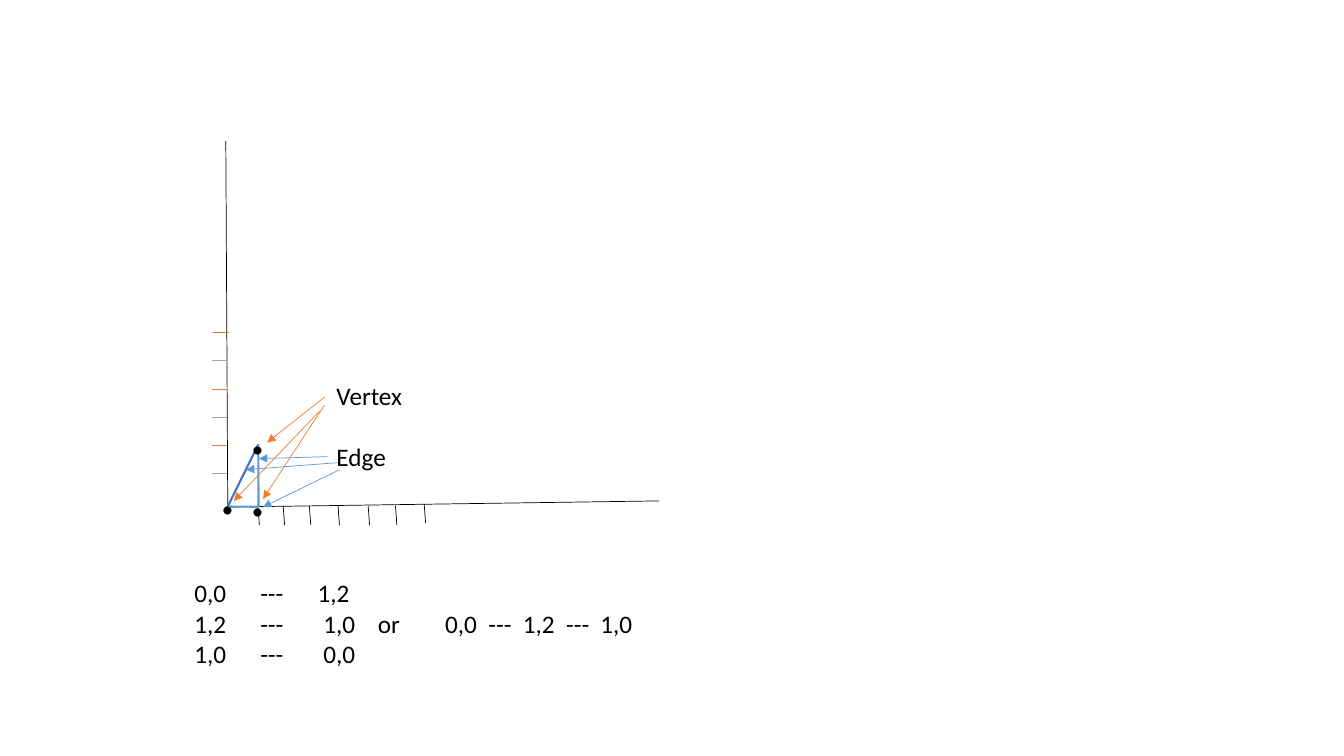
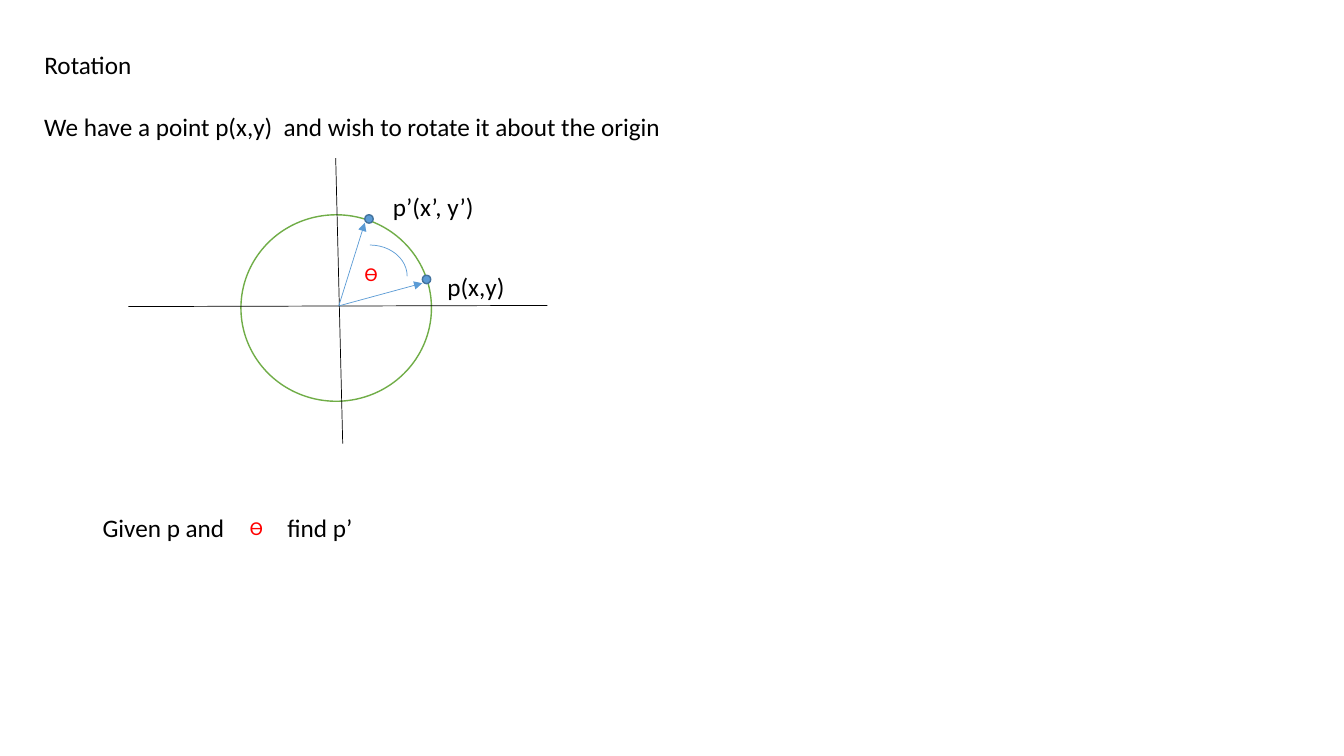
import pptx
import pptx.dml.color
import pptx.enum.shapes
import pptx.enum.text
import pptx.oxml.ns
import pptx.util
from lxml import etree

Pt = pptx.util.Pt
hex_color = pptx.dml.color.RGBColor.from_string
qn = pptx.oxml.ns.qn
Shape = pptx.enum.shapes.MSO_SHAPE

FONT = "Calibri"
BLACK = "000000"
WHITE = "FFFFFF"
RED = "FF0000"
ORANGE = "ED7D31"
GRAY = "A5A5A5"
BLUE = "5B9BD5"
DARK_BLUE = "4472C4"
POINT_OUTLINE = "43739E"
GREEN = "70AD47"


def add_line(slide, start, end, color=BLACK, width=0.5, arrow=False):
    line = slide.shapes.add_connector(
        pptx.enum.shapes.MSO_CONNECTOR.STRAIGHT,
        Pt(start[0]), Pt(start[1]), Pt(end[0]), Pt(end[1]))
    line.line.color.rgb = hex_color(color)
    line.line.width = Pt(width)
    if arrow:
        etree.SubElement(line.line._get_or_add_ln(), qn("a:tailEnd"), type="triangle")
    etree.SubElement(line._element.spPr, qn("a:effectLst"))


def write_text(shape, box, text, size=18, color=BLACK, wrap=False, tabs=()):
    """Place a shape and fill it; tabs holds the tab stops of each paragraph."""
    shape.left, shape.top, shape.width, shape.height = [Pt(value) for value in box]
    frame = shape.text_frame
    frame.text = text
    frame.word_wrap = wrap
    frame.auto_size = pptx.enum.text.MSO_AUTO_SIZE.NONE
    frame.vertical_anchor = pptx.enum.text.MSO_ANCHOR.TOP
    for paragraph in frame.paragraphs:
        paragraph.alignment = pptx.enum.text.PP_ALIGN.LEFT
        paragraph.line_spacing = 1.0
        for run in paragraph.runs:
            run.font.name = FONT
            run.font.size = Pt(size)
            run.font.color.rgb = hex_color(color)
    for paragraph, stops in zip(frame.paragraphs, tabs):
        tab_list = etree.SubElement(paragraph._p.get_or_add_pPr(), qn("a:tabLst"))
        for stop in stops:
            etree.SubElement(tab_list, qn("a:tab"), pos=str(Pt(stop)), algn="l")
    return frame


presentation = pptx.Presentation()
presentation.slide_width = Pt(960)
presentation.slide_height = Pt(540)
title_only_layout = presentation.slide_layouts[5]
blank_layout = presentation.slide_layouts[6]

# Slide 1: vertices and edges of a triangle
slide = presentation.slides.add_slide(blank_layout)

# Axes
add_line(slide, (161.3, 100.8), (162.7, 362.2))
add_line(slide, (162.7, 362.2), (470.9, 357.8))

# Ticks
for x in (184.3, 202.3, 221, 241.5, 263, 282.5, 303):
    top = 360 if x == 303 else 361.5
    add_line(slide, (x, top), (x + 1, top + 13.5))
for index in range(6):
    y = 237.6 + index * 20.16
    shift = 1 if index == 0 else 0
    add_line(slide, (162.3 + shift, y), (151.2 + shift, y), GRAY if index % 2 else ORANGE)

# Triangle edges
origin, apex, corner = (162.7, 361.8), (184.5, 317.5), (184.7, 362)
add_line(slide, origin, apex, DARK_BLUE, 1.5)
add_line(slide, apex, corner, BLUE, 1.5)
add_line(slide, origin, corner, BLUE, 1.5)

# Triangle vertices
for left, top in ((171.4, 272.9), (149.8, 316.1), (171.4, 317.5)):
    write_text(slide.shapes.add_textbox(0, 0, 0, 0), (left, top, 26.6, 65.5), ".", 48)

# Labels and their arrows
labels = write_text(slide.shapes.add_textbox(0, 0, 0, 0),
                    (233.3, 267.8, 61.9, 72.7), "Vertex\nEdge")
labels.paragraphs[1].space_before = Pt(22)
arrows = (
    (ORANGE, (231.8, 283.7), (190.8, 316.1)),
    (ORANGE, (231.8, 289.4), (187.9, 356.4)),
    (ORANGE, (228.2, 293.8), (167, 357.8)),
    (BLUE, (234, 326.2), (185, 327.6)),
    (BLUE, (241.2, 330.5), (175.7, 335.5)),
    (BLUE, (242.6, 335.5), (187.9, 362.2)),
)
for color, start, end in arrows:
    add_line(slide, start, end, color, arrow=True)

# Edge list
write_text(slide.shapes.add_textbox(0, 0, 0, 0), (131.8, 409, 339.1, 72.7),
           "0,0\t---\t1,2\n"
           "1,2\t---\t1,0\tor\t0,0\t---\t1,2\t---\t1,0\n"
           "1,0\t---\t0,0",
           wrap=True,
           tabs=((47, 88), (47, 92, 131, 179, 210, 234.5, 265.5, 290), (47, 92)))

# Slide 2: rotation about the origin
slide = presentation.slides.add_slide(title_only_layout)
write_text(slide.shapes.title, (24.5, 31.7, 484.6, 29), "Rotation", wrap=True)
write_text(slide.shapes.add_textbox(0, 0, 0, 0), (24.5, 75.6, 484.6, 29),
           "We have a point p(x,y)  and wish to rotate it about the origin", wrap=True)

# Circle, its two points and the angle arc
outlines = (
    (Shape.OVAL, (172.1, 153.4, 136.1, 133.2), WHITE, GREEN, 1),
    (Shape.OVAL, (301.7, 196.6, 6, 6), BLUE, POINT_OUTLINE, 1),
    (Shape.OVAL, (260.6, 153.4, 6, 6), BLUE, POINT_OUTLINE, 1),
    (Shape.ARC, (237.6, 175, 53.3, 44.6), None, BLUE, 0.5),
)
for kind, box, fill, outline, width in outlines:
    shape = slide.shapes.add_shape(kind, *[Pt(value) for value in box])
    shape.shadow.inherit = False
    if fill:
        shape.fill.solid()
        shape.fill.fore_color.rgb = hex_color(fill)
    else:
        shape.fill.background()
    shape.line.color.rgb = hex_color(outline)
    shape.line.width = Pt(width)

# Axes and vectors
add_line(slide, (91.8, 219), (391, 218.2))
add_line(slide, (239.8, 113), (244.8, 316.8))
for tip in ((301.7, 202.3), (260.6, 159.1)):
    add_line(slide, (242, 218.5), tip, BLUE, arrow=True)

# Point labels and task
write_text(slide.shapes.add_textbox(0, 0, 0, 0), (312.5, 190.1, 56.2, 29), "p(x,y)")
write_text(slide.shapes.add_textbox(0, 0, 0, 0), (273.6, 133.2, 72.7, 29), "p’(x’, y’)")
write_text(slide.shapes.add_textbox(0, 0, 0, 0), (66.2, 362.2, 199.4, 29),
           "Given p and\tfind p’", wrap=True, tabs=((132,),))
for left, top in ((253.4, 183.6), (171.4, 365)):
    write_text(slide.shapes.add_textbox(0, 0, 0, 0), (left, top, 23.8, 24.5), "Ɵ", 14, RED)

presentation.save("out.pptx")
